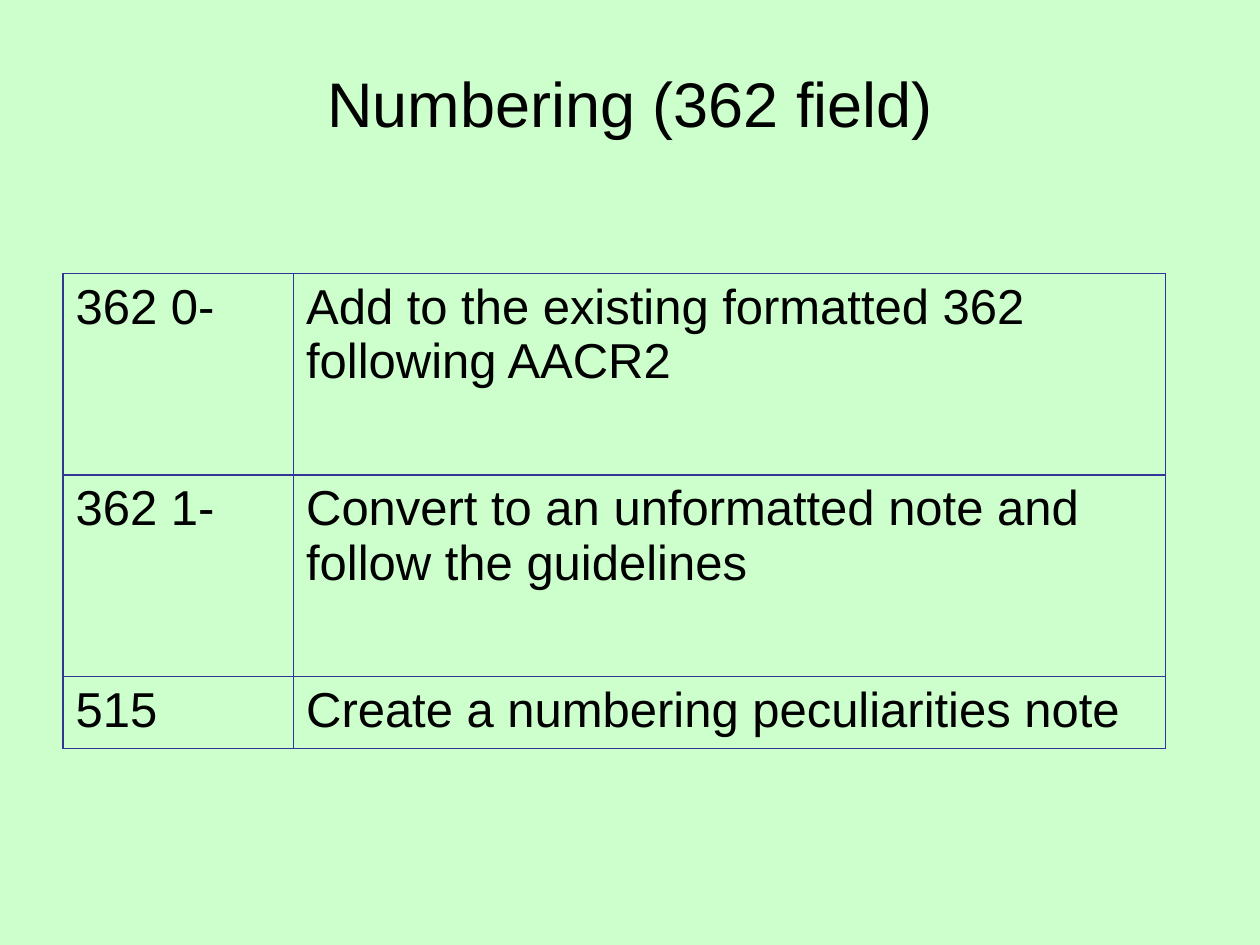
from lxml import etree
from pptx import Presentation
from pptx import util as u
from pptx.dml.color import RGBColor
from pptx.enum import text
from pptx.oxml.ns import qn

TITLE = "Numbering (362 field)"
FIELDS = [
    ("362 0-", "Add to the existing formatted 362 following AACR2"),
    ("362 1-", "Convert to an unformatted note and follow the guidelines"),
    ("515", "Create a numbering peculiarities note"),
]
COLORS = {"background": "CCFFCC", "text": "000000", "border": "333399"}
FONT = "Arial"
COLUMN_WIDTHS = [1.83, 6.92]
ROW_HEIGHTS = [1.6, 1.6, 0.57]
LEFT = 0.5
TABLE_TOP = 2.17


def style_paragraph(paragraph, size, alignment):
    paragraph.alignment = alignment
    paragraph.font.size = u.Pt(size)
    paragraph.font.name = FONT
    paragraph.font.bold = False
    paragraph.font.color.rgb = RGBColor.from_string(COLORS["text"])


def add_borders(cell):
    properties = cell._tc.get_or_add_tcPr()
    for position, side in enumerate(("a:lnL", "a:lnR", "a:lnT", "a:lnB")):
        line = etree.Element(qn(side), w=str(u.Pt(0.75)))
        fill = etree.SubElement(line, qn("a:solidFill"))
        etree.SubElement(fill, qn("a:srgbClr"), val=COLORS["border"])
        properties.insert(position, line)


def add_title(slide):
    title = slide.shapes.title
    title.left, title.top = u.Inches(LEFT), u.Inches(0.3)
    title.width, title.height = u.Inches(9), u.Inches(1.03)
    title.text_frame.text = TITLE
    title.text_frame.vertical_anchor = text.MSO_ANCHOR.MIDDLE
    style_paragraph(title.text_frame.paragraphs[0], 36, text.PP_ALIGN.CENTER)


def add_field_table(slide):
    table = slide.shapes.add_table(
        len(FIELDS), len(COLUMN_WIDTHS), u.Inches(LEFT), u.Inches(TABLE_TOP),
        u.Inches(sum(COLUMN_WIDTHS)), u.Inches(sum(ROW_HEIGHTS))).table
    table.first_row = table.horz_banding = False
    for column, width in zip(table.columns, COLUMN_WIDTHS):
        column.width = u.Inches(width)
    for row, height, values in zip(table.rows, ROW_HEIGHTS, FIELDS):
        row.height = u.Inches(height)
        for cell, value in zip(row.cells, values):
            cell.text = value
            cell.fill.background()
            add_borders(cell)
            style_paragraph(cell.text_frame.paragraphs[0], 28, text.PP_ALIGN.LEFT)


def main():
    presentation = Presentation()
    presentation.slide_width, presentation.slide_height = u.Inches(10), u.Inches(7.5)
    slide = presentation.slides.add_slide(presentation.slide_layouts[5])
    slide.background.fill.solid()
    slide.background.fill.fore_color.rgb = RGBColor.from_string(COLORS["background"])
    add_title(slide)
    add_field_table(slide)
    presentation.save("out.pptx")


if __name__ == "__main__":
    main()
